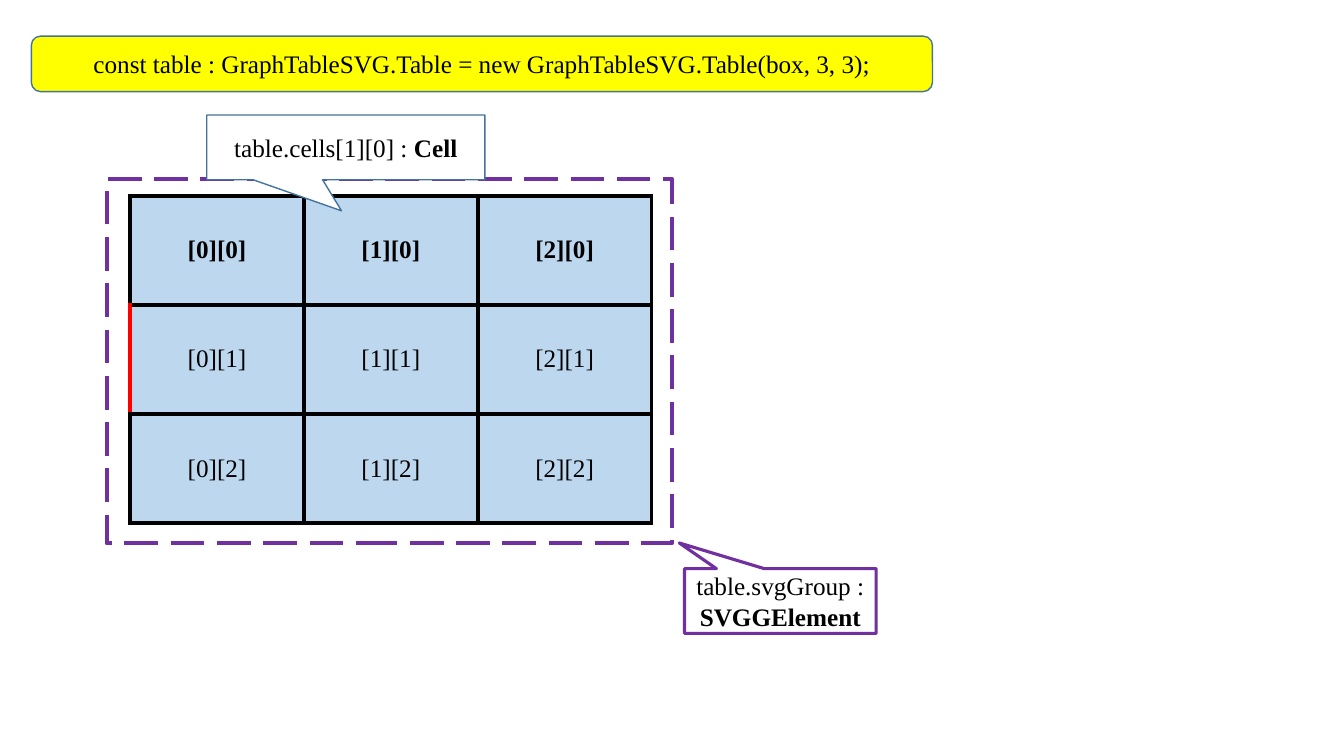
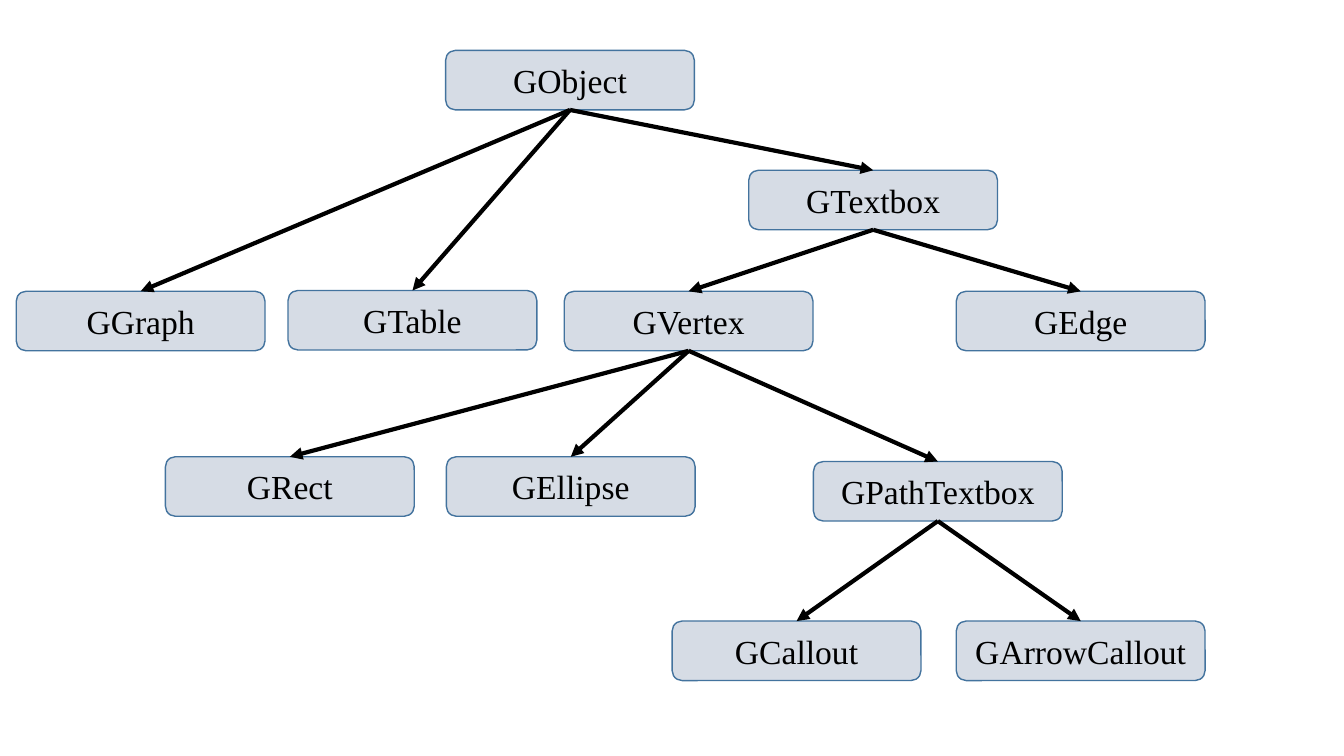
from pptx import Presentation
from pptx.dml.color import RGBColor
from pptx.enum.dml import MSO_LINE
from pptx.enum.shapes import MSO_CONNECTOR, MSO_SHAPE
from pptx.enum.text import MSO_ANCHOR, PP_ALIGN
from pptx.oxml.ns import qn
from pptx.util import Cm, Pt
from lxml.etree import SubElement, Element

FONT = "Times New Roman"
BLACK, WHITE, RED, YELLOW = "000000", "FFFFFF", "FF0000", "FFFF00"
BLUE, PURPLE, CELL_BLUE, NODE_GREY = "43739E", "7030A0", "BDD7EE", "D6DCE5"
NODE_W, NODE_H = 6.27, 1.5
COL_W, ROW_H = 4.38, 2.75
BOTTOM_SITE, TOP_SITE = 2, 0

NODES = {
    "GObject": (11.23, 1.27),
    "GTextbox": (18.87, 4.29),
    "GGraph": (0.41, 7.34),
    "GTable": (7.26, 7.32),
    "GVertex": (14.22, 7.34),
    "GEdge": (24.1, 7.34),
    "GRect": (4.17, 11.51),
    "GEllipse": (11.25, 11.51),
    "GPathTextbox": (20.5, 11.63),
    "GCallout": (16.94, 15.65),
    "GArrowCallout": (24.1, 15.65),
}
CHILDREN = {
    "GObject": ["GGraph", "GTable", "GTextbox"],
    "GTextbox": ["GVertex", "GEdge"],
    "GVertex": ["GRect", "GEllipse", "GPathTextbox"],
    "GPathTextbox": ["GCallout", "GArrowCallout"],
}


def rgb(color):
    return RGBColor.from_string(color)


def write(tf, plain, size, bold_tail=""):
    tf.word_wrap = True
    tf.vertical_anchor = MSO_ANCHOR.MIDDLE
    p = tf.paragraphs[0]
    p.text = plain
    p.alignment = PP_ALIGN.CENTER
    if bold_tail:
        p.add_run().text = bold_tail
    for i, r in enumerate(p.runs):
        r.font.name = FONT
        r.font.size = Pt(size)
        r.font.bold = i > 0
        r.font.color.rgb = rgb(BLACK)


def add_box(s, kind, box, fill=None, line=BLUE, width=1):
    sp = s.shapes.add_shape(kind, *map(Cm, box))
    sp.shadow.inherit = False
    if fill:
        sp.fill.solid()
        sp.fill.fore_color.rgb = rgb(fill)
    else:
        sp.fill.background()
    sp.line.color.rgb = rgb(line)
    sp.line.width = Pt(width)
    return sp


def add_callout(s, box, tip, plain, bold_tail, line=BLUE, width=1):
    sp = add_box(s, MSO_SHAPE.RECTANGULAR_CALLOUT, box, WHITE, line, width)
    sp.adjustments[0], sp.adjustments[1] = tip
    write(sp.text_frame, plain, 18, bold_tail)


def add_node(s, name, left, top):
    sp = add_box(s, MSO_SHAPE.ROUNDED_RECTANGLE, (left, top, NODE_W, NODE_H), NODE_GREY)
    write(sp.text_frame, name, 24)
    return sp


def add_arrow(s, parent, child):
    c = s.shapes.add_connector(MSO_CONNECTOR.STRAIGHT, 0, 0, 0, 0)
    c.begin_connect(parent, BOTTOM_SITE)
    c.end_connect(child, TOP_SITE)
    c.line.color.rgb = rgb(BLACK)
    c.line.width = Pt(3)
    SubElement(c.line._get_or_add_ln(), qn("a:tailEnd"), type="triangle")
    SubElement(c._element.spPr, qn("a:effectLst"))


def set_borders(cell, left):
    tcPr = cell._tc.get_or_add_tcPr()
    sides = {"lnL": left, "lnR": BLACK, "lnT": BLACK, "lnB": BLACK}
    for i, (side, color) in enumerate(sides.items()):
        ln = Element(qn(f"a:{side}"), w=str(Pt(3)))
        fill = SubElement(ln, qn("a:solidFill"))
        SubElement(fill, qn("a:srgbClr"), val=color)
        tcPr.insert(i, ln)


def add_grid(s, left, top, count):
    size = (COL_W * count, ROW_H * count)
    table = s.shapes.add_table(count, count, *map(Cm, (left, top, *size))).table
    table.horz_banding = False
    for column in table.columns:
        column.width = Cm(COL_W)
    for y, row in enumerate(table.rows):
        row.height = Cm(ROW_H)
        for x, cell in enumerate(row.cells):
            cell.fill.solid()
            cell.fill.fore_color.rgb = rgb(CELL_BLUE)
            cell.vertical_anchor = MSO_ANCHOR.MIDDLE
            write(cell.text_frame, f"[{x}][{y}]", 18)
            cell.text_frame.paragraphs[0].runs[0].font.bold = y == 0
            set_borders(cell, RED if (x, y) == (0, 1) else BLACK)


def build_table_slide(s):
    add_grid(s, 3.28, 4.93, 3)
    group = add_box(s, MSO_SHAPE.RECTANGLE, (2.69, 4.52, 14.25, 9.17), None, PURPLE, 3)
    group.line.dash_style = MSO_LINE.LONG_DASH
    add_callout(s, (5.21, 2.9, 7.01, 1.63), (-0.015, 0.981),
                "table.cells[1][0] : ", "Cell")
    add_callout(s, (17.25, 14.33, 4.83, 1.63), (-0.527, -0.897),
                "table.svgGroup : ", "SVGGElement", PURPLE, 2.25)
    code = add_box(s, MSO_SHAPE.FLOWCHART_ALTERNATE_PROCESS,
                   (0.79, 0.91, 22.71, 1.4), YELLOW)
    write(code.text_frame,
          "const table : GraphTableSVG.Table = new GraphTableSVG.Table(box, 3, 3);", 18)


def build_class_slide(s):
    nodes = {name: add_node(s, name, *place) for name, place in NODES.items()}
    for parent, children in CHILDREN.items():
        for child in children:
            add_arrow(s, nodes[parent], nodes[child])


def main():
    prs = Presentation()
    prs.slide_width, prs.slide_height = Cm(33.87), Cm(19.05)
    for build in (build_table_slide, build_class_slide):
        build(prs.slides.add_slide(prs.slide_layouts[6]))
    prs.save("out.pptx")


main()
